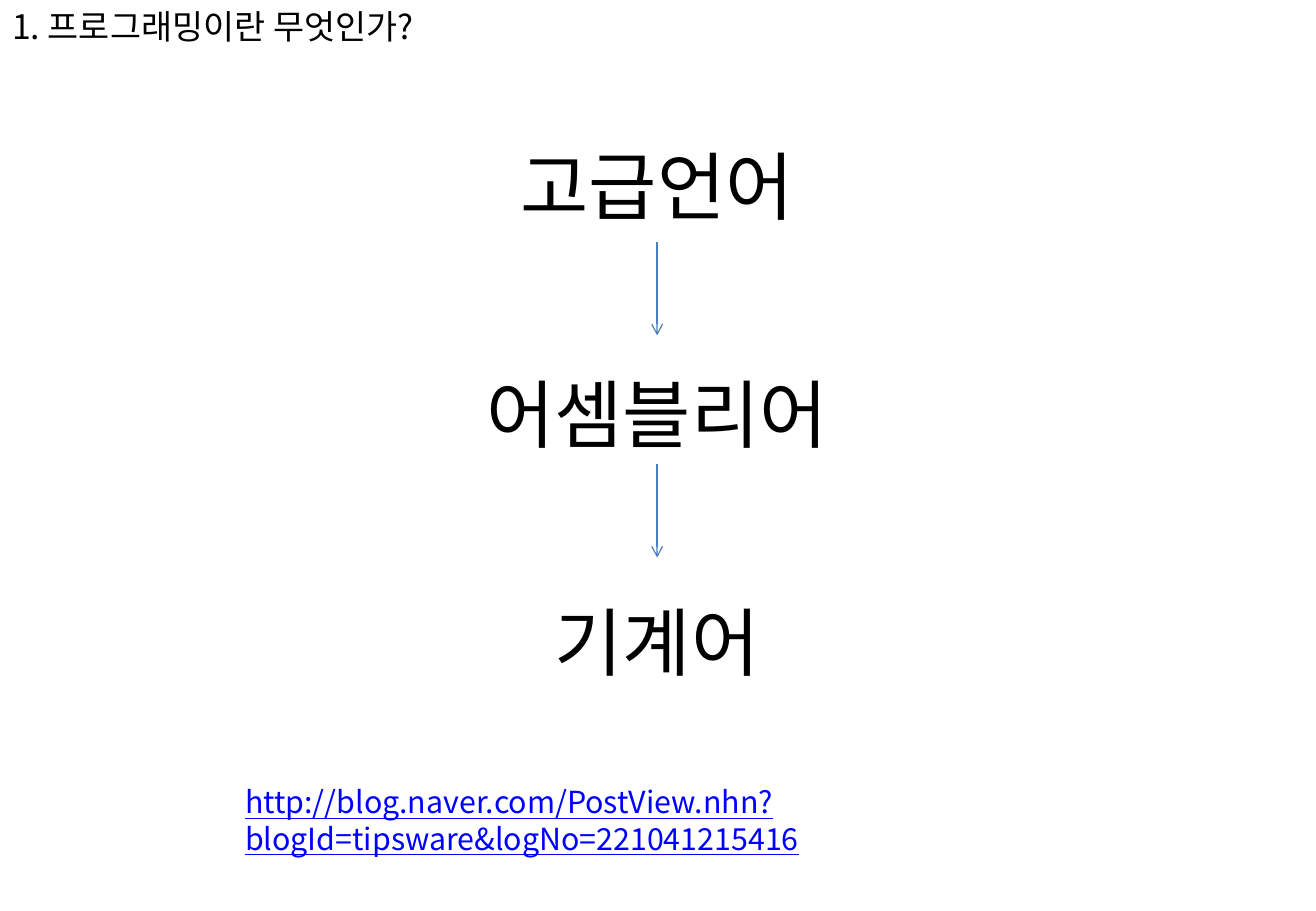
import pptx
import pptx.dml.color
import pptx.enum.shapes
import pptx.enum.text
import pptx.oxml
import pptx.oxml.ns
import pptx.util

Pt = pptx.util.Pt
Anchor = pptx.enum.text.MSO_ANCHOR
Align = pptx.enum.text.PP_ALIGN
AutoSize = pptx.enum.text.MSO_AUTO_SIZE


def rgb(value):
    return pptx.dml.color.RGBColor.from_string(value)


def add_xml(parent, tag, attrs=""):
    ns = pptx.oxml.ns.nsdecls("a")
    parent.append(pptx.oxml.parse_xml(f"<a:{tag} {ns} {attrs}/>"))


class Deck:
    font = "Noto Sans CJK KR"
    black, link, blue = "000000", "0000FF", "4B7EBC"

    def __init__(self, width, height):
        self.prs = pptx.Presentation()
        self.prs.slide_width, self.prs.slide_height = Pt(width), Pt(height)
        self.s = self.prs.slides.add_slide(self.prs.slide_layouts[5])

    def fill_text(self, sp, text, size, color=black, align=Align.LEFT,
                  anchor=Anchor.TOP, underline=None):
        tf = sp.text_frame
        frame = {"word_wrap": True, "auto_size": AutoSize.NONE,
                 "vertical_anchor": anchor}
        for name, value in frame.items():
            setattr(tf, name, value)
        p = tf.paragraphs[0]
        p.alignment = align
        r = p.add_run()
        r.text = text
        style = {"name": self.font, "size": Pt(size), "underline": underline}
        for name, value in style.items():
            setattr(r.font, name, value)
        r.font.color.rgb = rgb(color)
        add_xml(r.font._element, "ea", f'typeface="{self.font}"')

    def title(self, box, text, size):
        sp = self.s.shapes.title
        for name, value in zip(("left", "top", "width", "height"), box):
            setattr(sp, name, Pt(value))
        self.fill_text(sp, text, size)

    def text(self, box, text, size, **style):
        sp = self.s.shapes.add_textbox(*map(Pt, box))
        self.fill_text(sp, text, size, **style)

    def arrow(self, x, top, bottom):
        kind = pptx.enum.shapes.MSO_CONNECTOR.STRAIGHT
        sp = self.s.shapes.add_connector(kind, Pt(x), Pt(top), Pt(x), Pt(bottom))
        sp.line.color.rgb = rgb(self.blue)
        sp.line.width = Pt(0.75)
        add_xml(sp.line._get_or_add_ln(), "tailEnd", 'type="arrow"')
        add_xml(sp._element.spPr, "effectLst")


def main():
    deck = Deck(780, 540)
    deck.title((0, 0, 286, 55), "1. 프로그래밍이란 무엇인가?", 20)

    for i, level in enumerate(("고급언어", "어셈블리어", "기계어")):
        deck.text((-39, 28.8 + 135 * i, 857, 162), level, 44,
                  align=Align.CENTER, anchor=Anchor.MIDDLE)

    for top in (143.3, 275):
        deck.arrow(389.5, top, top + 55.5)

    url = "http://blog.naver.com/PostView.nhn?blogId=tipsware&logNo=221041215416"
    deck.text((138.2, 460.8, 504, 51), url, 18, color=deck.link, underline=True)

    deck.prs.save("out.pptx")


if __name__ == "__main__":
    main()
